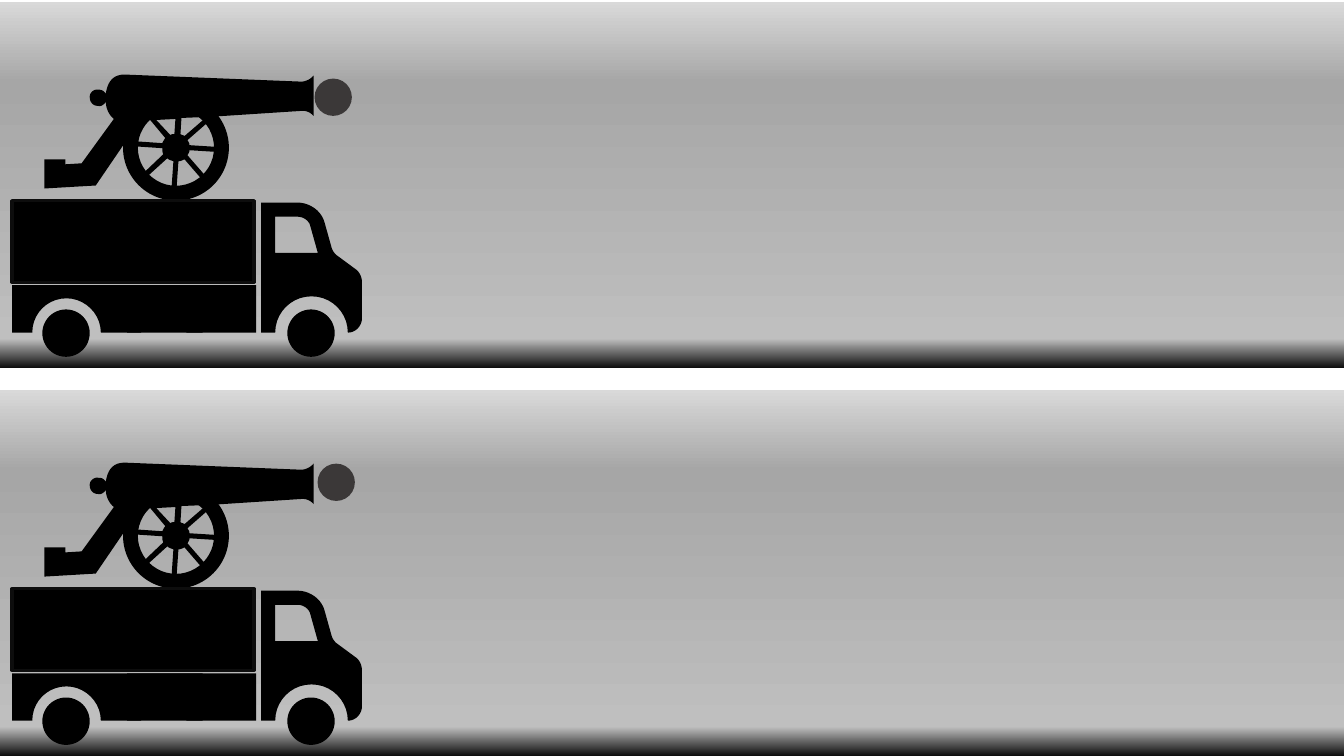
import copy

import pptx
import pptx.dml.color
import pptx.enum.shapes
import pptx.util

Inches = pptx.util.Inches
SHAPE = pptx.enum.shapes.MSO_SHAPE

BLACK = "000000"
BALL_GREY = "3B3838"
EDGE_BLACK = "0D0D0D"
SKY_STOPS = [(0, "D9D9D9"), (0.22, "A6A6A6"), (0.92, "BFBFBF"), (1, "0D0D0D")]
SCENE_WIDTH, SCENE_HEIGHT, SCENE_PITCH = 13.33, 3.63, 3.85
CURVE_STEPS = 10

# Outlines in inches from the scene's corner: pairs are corners, sextets are Bezier curves
CANNON = [
    [(3.11, 0.75), (3.06, 0.81, 2.99, 0.81, 2.99, 0.81), (1.25, 0.74),
     (1.09, 0.73, 1.06, 0.86, 1.05, 0.93), (1.03, 0.9, 1.01, 0.89, 0.98, 0.89),
     (0.93, 0.88, 0.89, 0.92, 0.89, 0.96), (0.89, 1.01, 0.92, 1.05, 0.97, 1.05),
     (1, 1.06, 1.03, 1.04, 1.05, 1.01), (1.05, 1.06, 1.07, 1.13, 1.13, 1.18),
     (0.81, 1.62), (0.65, 1.63), (0.65, 1.58), (0.44, 1.58), (0.44, 1.87),
     (0.95, 1.84), (1.25, 1.4), (1.41, 1.2), (1.49, 1.19), (1.64, 1.37),
     (1.63, 1.38, 1.62, 1.4, 1.61, 1.42), (1.32, 1.4), (1.31, 1.45), (1.61, 1.47),
     (1.61, 1.49, 1.61, 1.51, 1.62, 1.53), (1.41, 1.73), (1.44, 1.77), (1.66, 1.57),
     (1.68, 1.59, 1.7, 1.59, 1.72, 1.6), (1.7, 1.89), (1.75, 1.89), (1.77, 1.6),
     (1.79, 1.6, 1.81, 1.59, 1.83, 1.58), (2.02, 1.8), (2.06, 1.77), (1.86, 1.54),
     (1.87, 1.52, 1.88, 1.51, 1.88, 1.49), (2.19, 1.51), (2.19, 1.46), (1.88, 1.44),
     (1.88, 1.42, 1.87, 1.41, 1.86, 1.39), (2.1, 1.18), (2.07, 1.16), (2.99, 1.1),
     (2.99, 1.1, 3.06, 1.09, 3.11, 1.15)],
    [(1.74, 1.18), (1.73, 1.33), (1.72, 1.33, 1.7, 1.33, 1.69, 1.34), (1.55, 1.19)],
    [(1.83, 1.35), (1.82, 1.34, 1.8, 1.34, 1.79, 1.33), (1.8, 1.17), (2.05, 1.16)],
]
CAB = [
    [(2.95, 2.01), (2.59, 2.01), (2.59, 3.3), (2.73, 3.3),
     (2.73, 3.1, 2.89, 2.94, 3.09, 2.94), (3.29, 2.94, 3.45, 3.1, 3.45, 3.3),
     (3.53, 3.3, 3.59, 3.23, 3.59, 3.16), (3.59, 2.8),
     (3.59, 2.75, 3.57, 2.71, 3.54, 2.68), (3.35, 2.54),
     (3.32, 2.52, 3.3, 2.49, 3.29, 2.46), (3.22, 2.21),
     (3.19, 2.09, 3.07, 2.01, 2.95, 2.01)],
    [(2.73, 2.15), (2.95, 2.15), (3.01, 2.15, 3.07, 2.19, 3.08, 2.25), (3.15, 2.5),
     (3.15, 2.51, 3.16, 2.51, 3.16, 2.51), (2.73, 2.51)],
]
REAR_SKIRT = [
    [(2.01, 3.3), (1, 3.3), (1, 3.11, 0.84, 2.96, 0.66, 2.96),
     (0.47, 2.96, 0.32, 3.11, 0.32, 3.3), (0.12, 3.3), (0.12, 2.83), (2.01, 2.83)],
]
MIDDLE_SKIRT = [
    [(2.54, 3.3), (1.85, 3.3), (1.85, 3.11, 1.75, 2.96, 1.63, 2.96),
     (1.5, 2.96, 1.4, 3.11, 1.4, 3.3), (1.26, 3.3), (1.26, 2.83), (2.54, 2.83)],
]


def rgb(hex_colour):
    return pptx.dml.color.RGBColor.from_string(hex_colour)


def set_formats(target, formats):
    for name, value in formats.items():
        setattr(target, name, value)


def paint(shape, colour):
    shape.shadow.inherit = False
    shape.fill.solid()
    shape.fill.fore_color.rgb = rgb(colour)
    shape.line.fill.background()
    return shape


def add_preset(shapes, kind, left, top, width, height, colour=BLACK):
    box = [Inches(length) for length in (left, top, width, height)]
    return paint(shapes.add_shape(kind, *box), colour)


def flatten(contour):
    """Turn corners and Bezier curves into a list of points."""
    points = [contour[0]]
    for step in contour[1:]:
        if len(step) == 2:
            points.append(step)
            continue
        controls = [points[-1], step[:2], step[2:4], step[4:]]
        for index in range(1, CURVE_STEPS + 1):
            t = index / CURVE_STEPS
            weights = ((1 - t) ** 3, 3 * t * (1 - t) ** 2, 3 * t * t * (1 - t), t ** 3)
            points.append(tuple(
                sum(weight * control[axis] for weight, control in zip(weights, controls))
                for axis in (0, 1)))
    return points


def add_outline(shapes, contours, left, top):
    builder = None
    for contour in contours:
        points = [(Inches(left + x), Inches(top + y)) for x, y in flatten(contour)]
        if builder is None:
            builder = shapes.build_freeform(*points[0])
        else:
            builder.move_to(*points[0])
        builder.add_line_segments(points[1:], close=True)
    return paint(builder.convert_to_shape(), BLACK)


def add_backdrop(shapes, left, top):
    backdrop = add_preset(shapes, SHAPE.RECTANGLE, left, top + 0.02,
                          SCENE_WIDTH, SCENE_HEIGHT)
    fill = backdrop.fill
    fill.gradient()
    fill.gradient_angle = 270
    # Extend the default two stops to the number needed
    stop_list = backdrop._element.spPr.find(".//" + pptx.oxml.ns.qn("a:gsLst"))
    while len(stop_list) < len(SKY_STOPS):
        stop_list.append(copy.deepcopy(stop_list[0]))
    for stop, (position, colour) in zip(fill.gradient_stops, SKY_STOPS):
        stop.position = position
        stop.color.rgb = rgb(colour)


def add_cannon(shapes, left, top):
    wheel = add_preset(shapes, SHAPE.DONUT, left + 1.22, top + 0.94, 1.05, 1.05)
    wheel.adjustments[0] = 0.14
    add_outline(shapes, CANNON, left, top)


def add_truck(shapes, left, top):
    for wheel_left in (0.42, 2.85):
        add_preset(shapes, SHAPE.OVAL, left + wheel_left, top + 3.07, 0.47, 0.47)
    cargo_box = add_preset(shapes, SHAPE.RECTANGLE, left + 0.12, top + 1.99, 2.4, 0.81)
    cargo_box.line.color.rgb = rgb(EDGE_BLACK)
    set_formats(cargo_box.line, {"width": pptx.util.Pt(2.25)})
    for contours in (CAB, REAR_SKIRT, MIDDLE_SKIRT):
        add_outline(shapes, contours, left, top)


def add_scene(slide, left, top, ball_left, ball_top):
    """Place sky, cannon, ball and truck from the given corner."""
    shapes = slide.shapes.add_group_shape().shapes
    add_backdrop(shapes, left, top)
    add_cannon(shapes, left, top)
    add_preset(shapes, SHAPE.OVAL, left + ball_left, top + ball_top, 0.37, 0.37, BALL_GREY)
    add_truck(shapes, left, top)


def main():
    presentation = pptx.Presentation()
    set_formats(presentation, {"slide_width": Inches(13.33), "slide_height": Inches(7.5)})
    slide = presentation.slides.add_slide(presentation.slide_layouts[6])
    # Two scenes, the ball a little further on in the second
    for index, ball_corner in enumerate([(3.12, 0.78), (3.15, 0.75)]):
        add_scene(slide, 0, index * SCENE_PITCH, *ball_corner)
    presentation.save("out.pptx")


if __name__ == "__main__":
    main()
